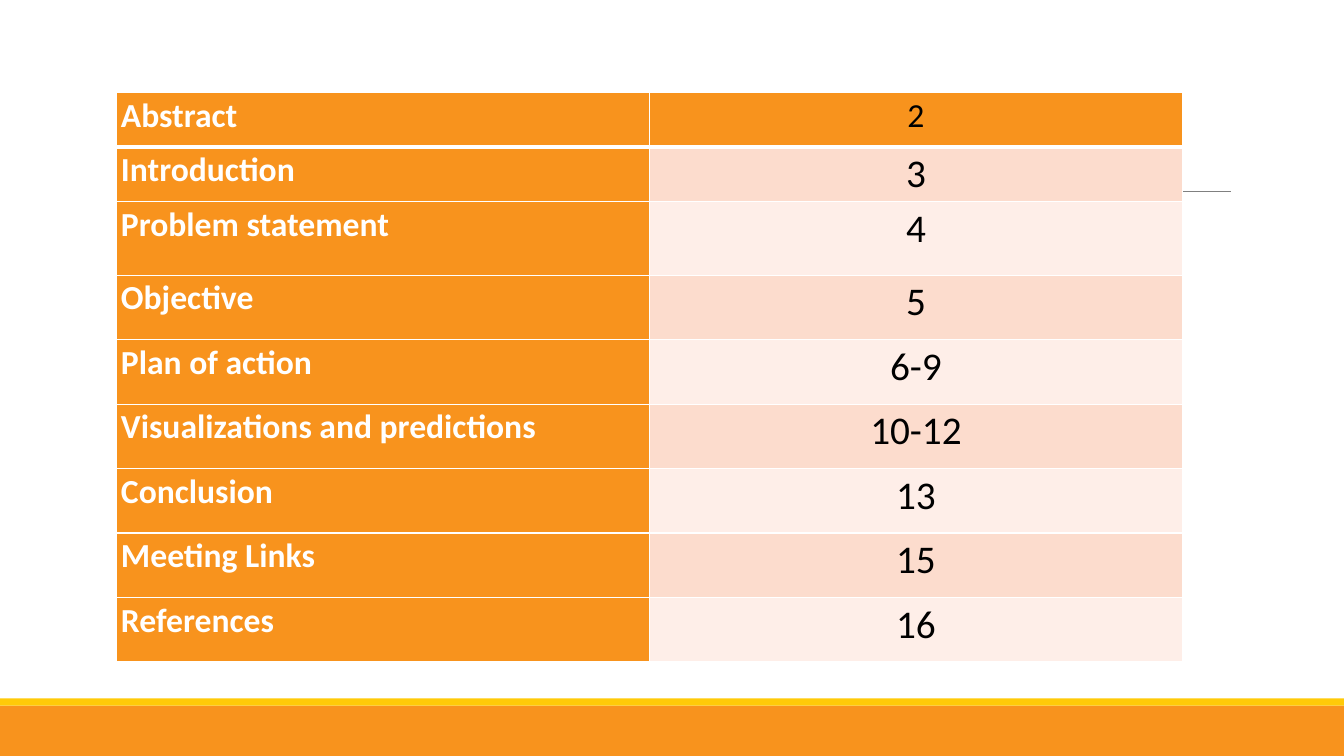
from dataclasses import dataclass

from lxml.etree import SubElement
from pptx import Presentation
from pptx.dml.color import RGBColor
from pptx.enum.shapes import MSO_CONNECTOR as Connector, MSO_SHAPE as Shape
from pptx.enum.text import PP_ALIGN as Align
from pptx.oxml.ns import qn
from pptx.util import Inches, Pt


@dataclass(frozen=True)
class Theme:
    font: str = "Calibri"
    orange: str = "F8931D"
    yellow: str = "FFCA08"
    rule: str = "808080"
    white: str = "FFFFFF"
    black: str = "000000"
    bands: tuple = ("FEEEE8", "FCDCCD")
    label_size: int = 24
    page_size: int = 28


THEME = Theme()
WIDTH, HEIGHT = Inches(13.33), Inches(7.5)
TABLE_LEFT, TABLE_TOP, COLUMN_WIDTH = 1.15, 0.92, 5.29
ROW_HEIGHTS = [0.54, 0.54, 0.73] + [0.64] * 6
CONTENTS = [
    ("Abstract", "2"),
    ("Introduction", "3"),
    ("Problem statement", "4"),
    ("Objective", "5"),
    ("Plan of action", "6-9"),
    ("Visualizations and predictions", "10-12"),
    ("Conclusion", "13"),
    ("Meeting Links", "15"),
    ("References", "16"),
]


def color(value):
    return RGBColor.from_string(value)


def add_band(slide, top, height, fill):
    """Add a full-width bar at the given height on the slide."""
    band = slide.shapes.add_shape(Shape.RECTANGLE, 0, Inches(top), WIDTH, Inches(height))
    band.shadow.inherit = False
    band.fill.solid()
    band.fill.fore_color.rgb = color(fill)
    band.line.fill.background()


def add_rule(slide, left, right, y):
    rule = slide.shapes.add_connector(
        Connector.STRAIGHT, Inches(left), Inches(y), Inches(right), Inches(y))
    rule.line.color.rgb = color(THEME.rule)
    rule.line.width = Pt(0.5)
    SubElement(rule._element.spPr, qn("a:effectLst"))


def set_borders(cell, top, bottom):
    """Draw white borders, with top and bottom widths in points."""
    properties = cell._tc.get_or_add_tcPr()
    for side, width in {"L": 1, "R": 1, "T": top, "B": bottom}.items():
        border = SubElement(properties, qn(f"a:ln{side}"), w=str(Pt(width)))
        fill = SubElement(border, qn("a:solidFill"))
        SubElement(fill, qn("a:srgbClr"), val=THEME.white)


def write_cell(cell, text, fill, size, ink, bold, align):
    cell.margin_left = cell.margin_right = Inches(0.05)
    cell.margin_top = cell.margin_bottom = 0
    cell.fill.solid()
    cell.fill.fore_color.rgb = color(fill)
    paragraph = cell.text_frame.paragraphs[0]
    paragraph.text = text
    paragraph.alignment = align
    paragraph.line_spacing = 1.07
    paragraph.space_after = Pt(8)
    font = paragraph.runs[0].font
    font.name, font.size, font.bold = THEME.font, Pt(size), bold
    font.color.rgb = color(ink)


def add_contents_table(slide):
    contents = slide.shapes.add_table(
        len(CONTENTS), 2, Inches(TABLE_LEFT), Inches(TABLE_TOP),
        Inches(2 * COLUMN_WIDTH), Inches(sum(ROW_HEIGHTS))).table
    for column in contents.columns:
        column.width = Inches(COLUMN_WIDTH)
    for index, (section, pages) in enumerate(CONTENTS):
        row = contents.rows[index]
        row.height = Inches(ROW_HEIGHTS[index])
        heading = index == 0
        for cell in row.cells:
            set_borders(cell, top=3 if index == 1 else 1, bottom=3 if heading else 1)
        label_cell, page_cell = row.cells
        write_cell(label_cell, section, THEME.orange, THEME.label_size,
                   THEME.white, True, Align.LEFT)
        write_cell(page_cell, pages,
                   THEME.orange if heading else THEME.bands[index % 2],
                   THEME.label_size if heading else THEME.page_size,
                   THEME.black, False, Align.CENTER)


def main():
    deck = Presentation()
    deck.slide_width, deck.slide_height = WIDTH, HEIGHT
    slide = deck.slides.add_slide(deck.slide_layouts[6])
    add_band(slide, 7, 0.5, THEME.orange)
    add_band(slide, 6.93, 0.07, THEME.yellow)
    add_rule(slide, 1.31, 12.21, 1.9)
    add_contents_table(slide)
    deck.save("out.pptx")


if __name__ == "__main__":
    main()
